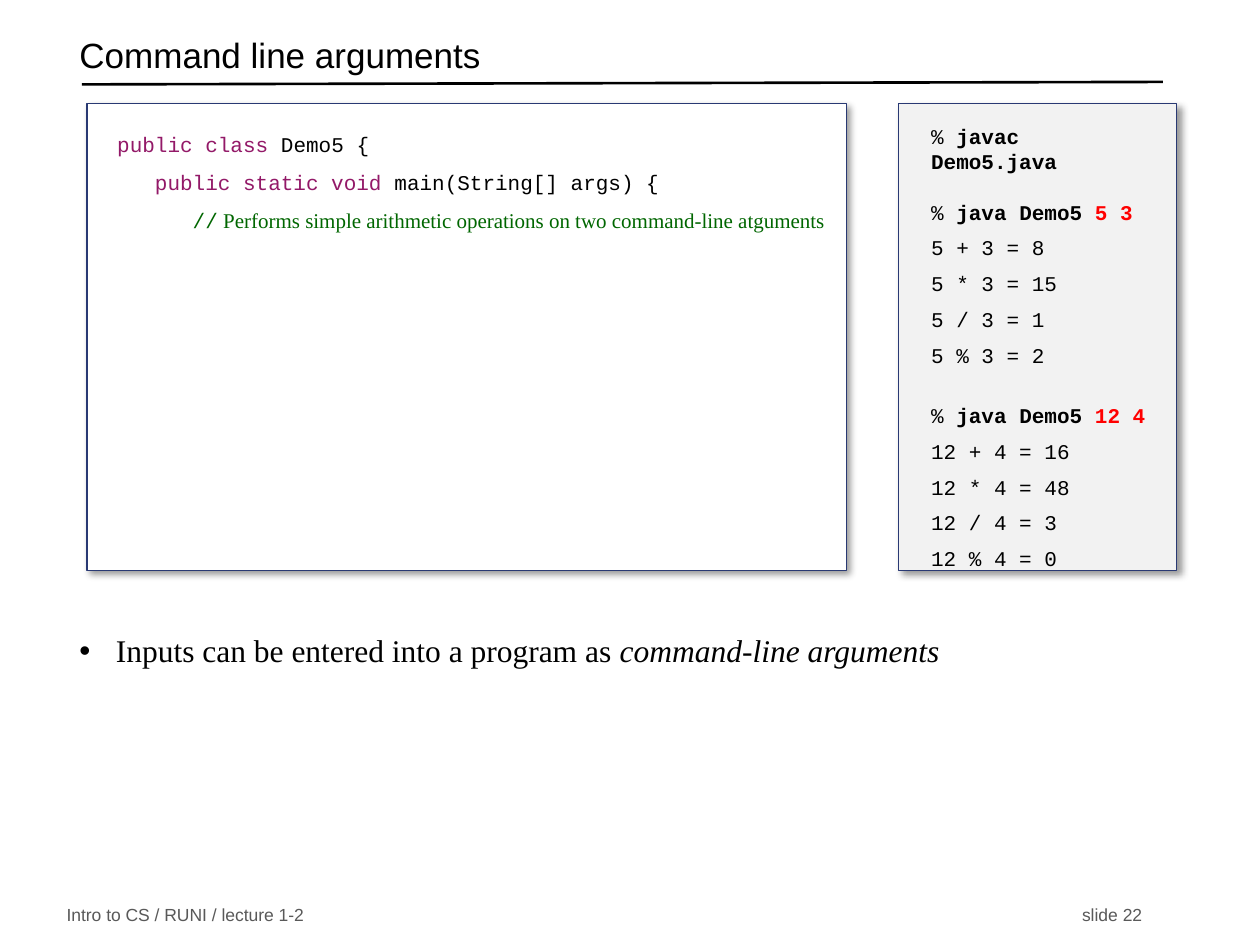
from lxml import etree
from pptx import Presentation
from pptx.dml.color import RGBColor
from pptx.enum.shapes import MSO_CONNECTOR, MSO_SHAPE
from pptx.enum.text import MSO_ANCHOR, MSO_AUTO_SIZE, PP_ALIGN
from pptx.oxml import parse_xml
from pptx.oxml.ns import nsdecls, qn
from pptx.util import Inches, Pt

RECTANGLE = MSO_SHAPE.RECTANGLE
STRAIGHT = MSO_CONNECTOR.STRAIGHT
LEFT = PP_ALIGN.LEFT
TOP, MIDDLE = MSO_ANCHOR.TOP, MSO_ANCHOR.MIDDLE
NO_FIT = MSO_AUTO_SIZE.NONE

COLORS = {
    "black": "000000", "white": "FFFFFF", "panel": "F2F2F2", "border": "293973",
    "keyword": "931968", "comment": "006600", "input": "FF0000", "footer": "595959",
}
SANS, SERIF, MONO = "Arial", "Times New Roman", "Courier New"
PLAIN_INSETS = (0.1, 0.05, 0.1, 0.05)
PANEL_TOP, PANEL_HEIGHT = 0.82, 3.71
CODE_LINES = [
    [("public class", "keyword", MONO), (" Demo5 {", "black", MONO)],
    [("   public static void", "keyword", MONO), (" main(String[] args) {", "black", MONO)],
    [("      //", "comment", MONO),
     (" Performs simple arithmetic operations on two command-line atguments", "comment", SERIF)],
]
SESSIONS = [
    (14.5, "5 3", ["5 + 3 = 8", "5 * 3 = 15", "5 / 3 = 1", "5 % 3 = 2"]),
    (20.3, "12 4", ["12 + 4 = 16", "12 * 4 = 48", "12 / 4 = 3", "12 % 4 = 0"]),
]


def color(name):
    return RGBColor.from_string(COLORS[name])


def place(shape, box):
    shape.left, shape.top, shape.width, shape.height = map(Inches, box)


def prepare_frame(shape, insets, anchor):
    frame = shape.text_frame
    frame.word_wrap = True
    frame.auto_size = NO_FIT
    frame.vertical_anchor = anchor
    (frame.margin_left, frame.margin_top,
     frame.margin_right, frame.margin_bottom) = map(Inches, insets)
    return frame


def next_paragraph(frame):
    paragraph = frame.paragraphs[0]
    if paragraph.runs:
        paragraph = frame.add_paragraph()
    paragraph.alignment = LEFT
    paragraph.space_before = Pt(0)
    return paragraph


def add_run(paragraph, text, size, font, color_name="black", bold=False, italic=False):
    run = paragraph.add_run()
    run.text = text
    run.font.size, run.font.name = Pt(size), font
    run.font.bold, run.font.italic = bold, italic
    run.font.color.rgb = color(color_name)


def add_panel(slide, box, fill, insets):
    panel = slide.shapes.add_shape(RECTANGLE, *map(Inches, box))
    panel.fill.solid()
    panel.fill.fore_color.rgb = color(fill)
    panel.line.color.rgb = color("border")
    panel.line.width = Pt(0.75)
    panel.shadow.inherit = False
    effects = panel._element.spPr.find(qn("a:effectLst"))
    effects.append(parse_xml(
        f'<a:outerShdw {nsdecls("a")} blurRad="{Pt(4)}" dist="{Pt(3)}" dir="2700000" '
        f'algn="tl" rotWithShape="0"><a:srgbClr val="{COLORS["black"]}">'
        '<a:alpha val="40000"/></a:srgbClr></a:outerShdw>'))
    return prepare_frame(panel, insets, TOP)


def add_code(slide, box):
    frame = add_panel(slide, box, "white", (0.24, 0.12, 0.1, 0.08))
    for pieces in CODE_LINES:
        paragraph = next_paragraph(frame)
        paragraph.line_spacing = Pt(21.8)
        for text, color_name, font in pieces:
            add_run(paragraph, text, 12, font, color_name)


def add_console(slide, box):
    frame = add_panel(slide, box, "panel", (0.26, 0.16, 0.18, 0.29))
    paragraph = next_paragraph(frame)
    add_run(paragraph, "% ", 12, MONO)
    add_run(paragraph, "javac Demo5.java", 12, MONO, bold=True)
    for gap, arguments, results in SESSIONS:
        paragraph = next_paragraph(frame)
        paragraph.space_before = Pt(gap)
        add_run(paragraph, "% ", 12, MONO)
        add_run(paragraph, "java Demo5 ", 12, MONO, bold=True)
        add_run(paragraph, arguments, 12, MONO, "input", bold=True)
        for result in results:
            paragraph = next_paragraph(frame)
            paragraph.space_before = Pt(6)
            add_run(paragraph, result, 12, MONO)


def add_title(slide, box):
    title = slide.shapes.title
    place(title, box)
    paragraph = next_paragraph(prepare_frame(title, PLAIN_INSETS, MIDDLE))
    paragraph.line_spacing = 0.7
    add_run(paragraph, "Command line arguments", 20, SANS)


def add_rule(slide, start, end):
    rule = slide.shapes.add_connector(STRAIGHT, *map(Inches, start + end))
    rule.line.color.rgb = color("black")
    rule.line.width = Pt(1.5)
    etree.SubElement(rule._element.spPr, qn("a:effectLst"))


def add_points(slide, box):
    body = slide.placeholders[1]
    place(body, box)
    paragraph = next_paragraph(prepare_frame(body, PLAIN_INSETS, TOP))
    properties = paragraph._p.get_or_add_pPr()
    properties.set("marL", str(Inches(0.29)))
    properties.set("indent", str(-Inches(0.29)))
    bullet_color = etree.SubElement(properties, qn("a:buClr"))
    etree.SubElement(bullet_color, qn("a:srgbClr"), val=COLORS["black"])
    etree.SubElement(properties, qn("a:buFont"), typeface=SANS)
    etree.SubElement(properties, qn("a:buChar"), char="•")
    add_run(paragraph, "Inputs can be entered into a program as ", 18, SERIF)
    add_run(paragraph, "command-line arguments", 18, SERIF, italic=True)


def add_footer(slide, box):
    footer = slide.shapes.add_textbox(*map(Inches, box))
    paragraph = next_paragraph(prepare_frame(footer, PLAIN_INSETS, MIDDLE))
    tabs = etree.SubElement(paragraph._p.get_or_add_pPr(), qn("a:tabLst"))
    etree.SubElement(tabs, qn("a:tab"), pos=str(Inches(8.06)), algn="l")
    add_run(paragraph, "Intro to CS / RUNI / lecture 1-2\tslide 22", 10, SANS, "footer")


def main():
    presentation = Presentation()
    presentation.slide_width, presentation.slide_height = Inches(10), Inches(7.5)
    slide = presentation.slides.add_slide(presentation.slide_layouts[1])
    add_rule(slide, (0.65, 0.67), (9.23, 0.65))
    add_footer(slide, (0.43, 7.12, 9, 0.27))
    add_code(slide, (0.69, PANEL_TOP, 6.03, PANEL_HEIGHT))
    add_title(slide, (0.53, 0.22, 8.6, 0.5))
    add_console(slide, (7.13, PANEL_TOP, 2.21, PANEL_HEIGHT))
    add_points(slide, (0.53, 4.96, 9.11, 1.71))
    presentation.save("out.pptx")


if __name__ == "__main__":
    main()
